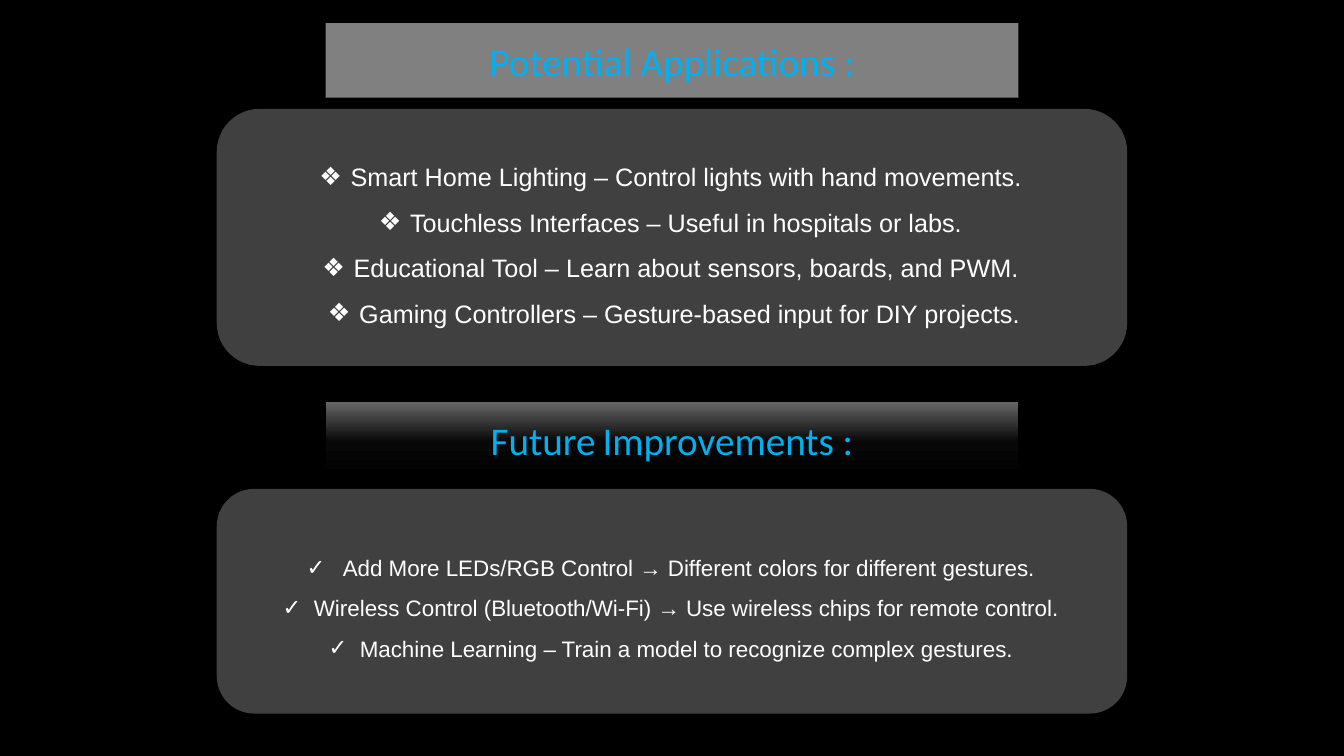
from dataclasses import dataclass

from lxml.etree import SubElement
from pptx import Presentation
from pptx.dml.color import RGBColor as RGB
from pptx.enum.shapes import MSO_SHAPE as SHAPE
from pptx.enum.text import MSO_ANCHOR as ANCHOR, PP_ALIGN as ALIGN
from pptx.oxml import parse_xml
from pptx.oxml.ns import nsdecls, qn
from pptx.util import Inches, Pt


@dataclass(frozen=True)
class Theme:
    background: str = "000000"
    panel: str = "404040"
    banner: str = "808080"
    heading: str = "00B0F0"
    body: str = "FFFFFF"
    heading_font: str = "Calibri"
    body_font: str = "Arial"
    heading_size: int = 28
    gap_size: int = 18
    gradient: tuple = ((0, "000000"), (48, "080808"), (100, "666666"))


@dataclass(frozen=True)
class Banner:
    top: float
    height: float
    words: tuple
    gradient: bool = False


@dataclass(frozen=True)
class Panel:
    top: float
    height: float
    bullet: str
    size: int
    items: tuple


THEME = Theme()

BANNERS = (
    Banner(0.23, 0.74, ("Potential Applications :",)),
    Banner(3.99, 0.75, ("Future", " ", "Improvements :"), gradient=True),
)

PANELS = (
    Panel(1.08, 2.55, "❖", 18, (
        "Smart Home Lighting – Control lights with hand movements. ",
        "Touchless Interfaces – Useful in hospitals or labs. ",
        "Educational Tool – Learn about sensors, boards, and PWM. ",
        "Gaming Controllers – Gesture-based input for DIY projects.",
    )),
    Panel(4.85, 2.23, "✓", 16, (
        " Add More LEDs/RGB Control → Different colors for different gestures. ",
        "Wireless Control (Bluetooth/Wi-Fi) → Use wireless chips for remote control. ",
        "Machine Learning – Train a model to recognize complex gestures. ",
    )),
)


def add_box(slide, kind, left: float, top: float, width: float, height: float, color: str):
    s = slide.shapes.add_shape(kind, Inches(left), Inches(top), Inches(width), Inches(height))
    s.shadow.inherit = False
    s.fill.solid()
    s.fill.fore_color.rgb = RGB.from_string(color)
    s.line.fill.background()
    s.text_frame.word_wrap = True
    s.text_frame.vertical_anchor = ANCHOR.MIDDLE
    return s


def style_font(font, name: str, size: int, color: str) -> None:
    font.name = name
    font.size = Pt(size)
    font.color.rgb = RGB.from_string(color)


def outline_run(r) -> None:
    r._r.get_or_add_rPr().insert(0, parse_xml(
        f'<a:ln {nsdecls("a")} w="{Pt(0.75)}"><a:solidFill><a:srgbClr val="{THEME.panel}">'
        '<a:alpha val="10000"/></a:srgbClr></a:solidFill></a:ln>'))


def fill_gradient(s) -> None:
    stops = "".join(f'<a:gs pos="{pos * 1000}"><a:srgbClr val="{color}"/></a:gs>'
                    for pos, color in THEME.gradient)
    solid = s._element.spPr.find(qn("a:solidFill"))
    solid.getparent().replace(solid, parse_xml(
        f'<a:gradFill {nsdecls("a")} rotWithShape="1"><a:gsLst>{stops}</a:gsLst>'
        f'<a:lin ang="{270 * 60000}" scaled="0"/></a:gradFill>'))


def draw_banner(slide, banner: Banner) -> None:
    s = add_box(slide, SHAPE.RECTANGLE, 3.23, banner.top, 6.87, banner.height, THEME.banner)
    if banner.gradient:
        fill_gradient(s)
    p = s.text_frame.paragraphs[0]
    p.alignment = ALIGN.CENTER
    for word in banner.words:
        r = p.add_run()
        r.text = word
        if word.strip():
            style_font(r.font, THEME.heading_font, THEME.heading_size, THEME.heading)
            outline_run(r)
        else:
            style_font(r.font, THEME.body_font, THEME.gap_size, THEME.body)


def add_bullet(p, char: str) -> None:
    pPr = p._p.get_or_add_pPr()
    pPr.set("marL", str(Inches(0.35)))
    pPr.set("indent", str(Inches(-0.31)))
    SubElement(pPr, qn("a:buFont")).set("typeface", THEME.body_font)
    SubElement(pPr, qn("a:buChar")).set("char", char)


def draw_panel(slide, panel: Panel) -> None:
    s = add_box(slide, SHAPE.FLOWCHART_ALTERNATE_PROCESS, 2.15, panel.top, 9.03,
                panel.height, THEME.panel)
    tf = s.text_frame
    tf.text = "\n".join(panel.items)
    for p in tf.paragraphs:
        p.alignment = ALIGN.CENTER
        p.line_spacing = 1.5
        add_bullet(p, panel.bullet)
        style_font(p.runs[0].font, THEME.body_font, panel.size, THEME.body)


def main() -> None:
    prs = Presentation()
    prs.slide_width, prs.slide_height = Inches(13.33), Inches(7.5)
    slide = prs.slides.add_slide(prs.slide_layouts[6])
    slide.background.fill.solid()
    slide.background.fill.fore_color.rgb = RGB.from_string(THEME.background)
    for banner in BANNERS:
        draw_banner(slide, banner)
    for panel in PANELS:
        draw_panel(slide, panel)
    prs.save("out.pptx")


if __name__ == "__main__":
    main()
